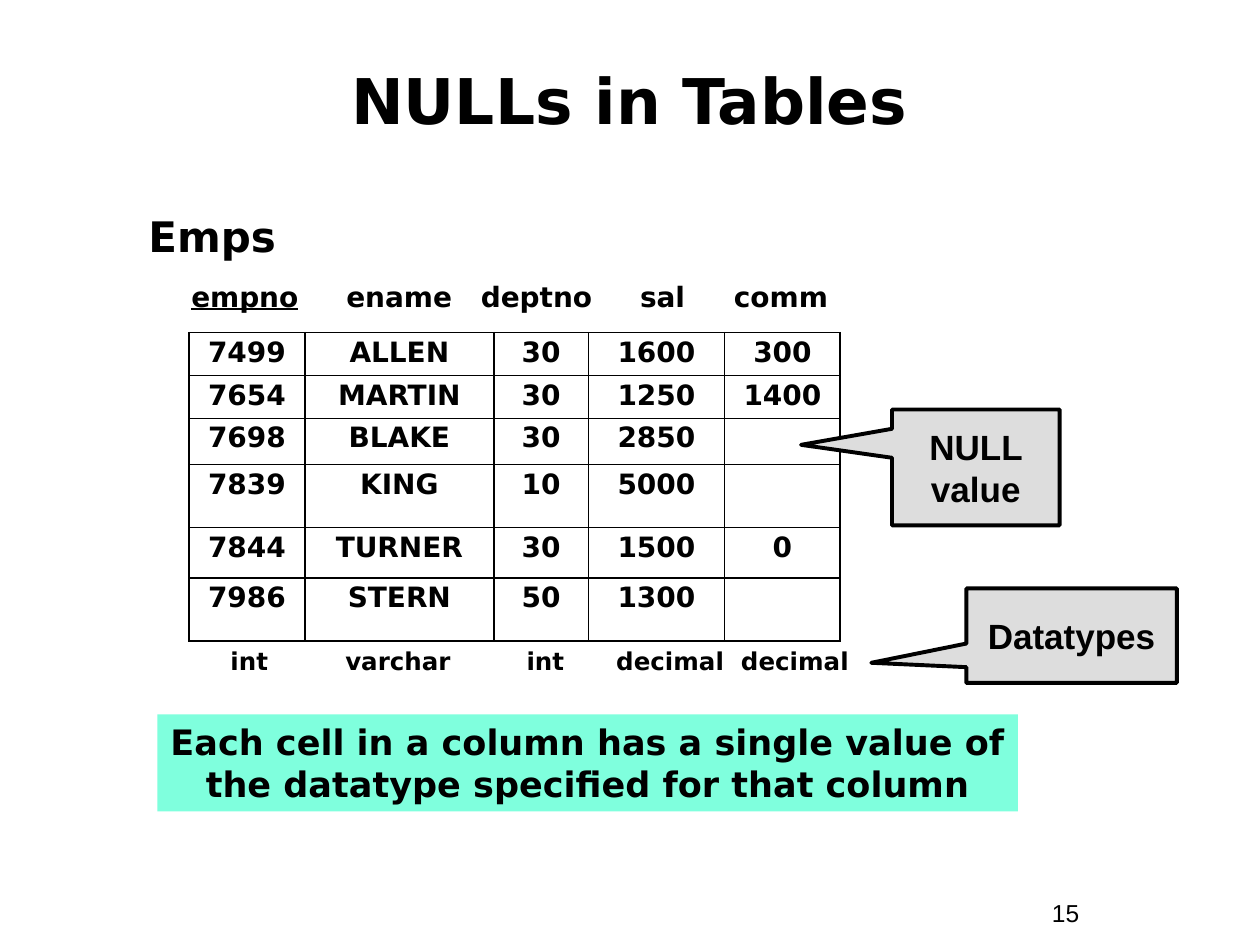
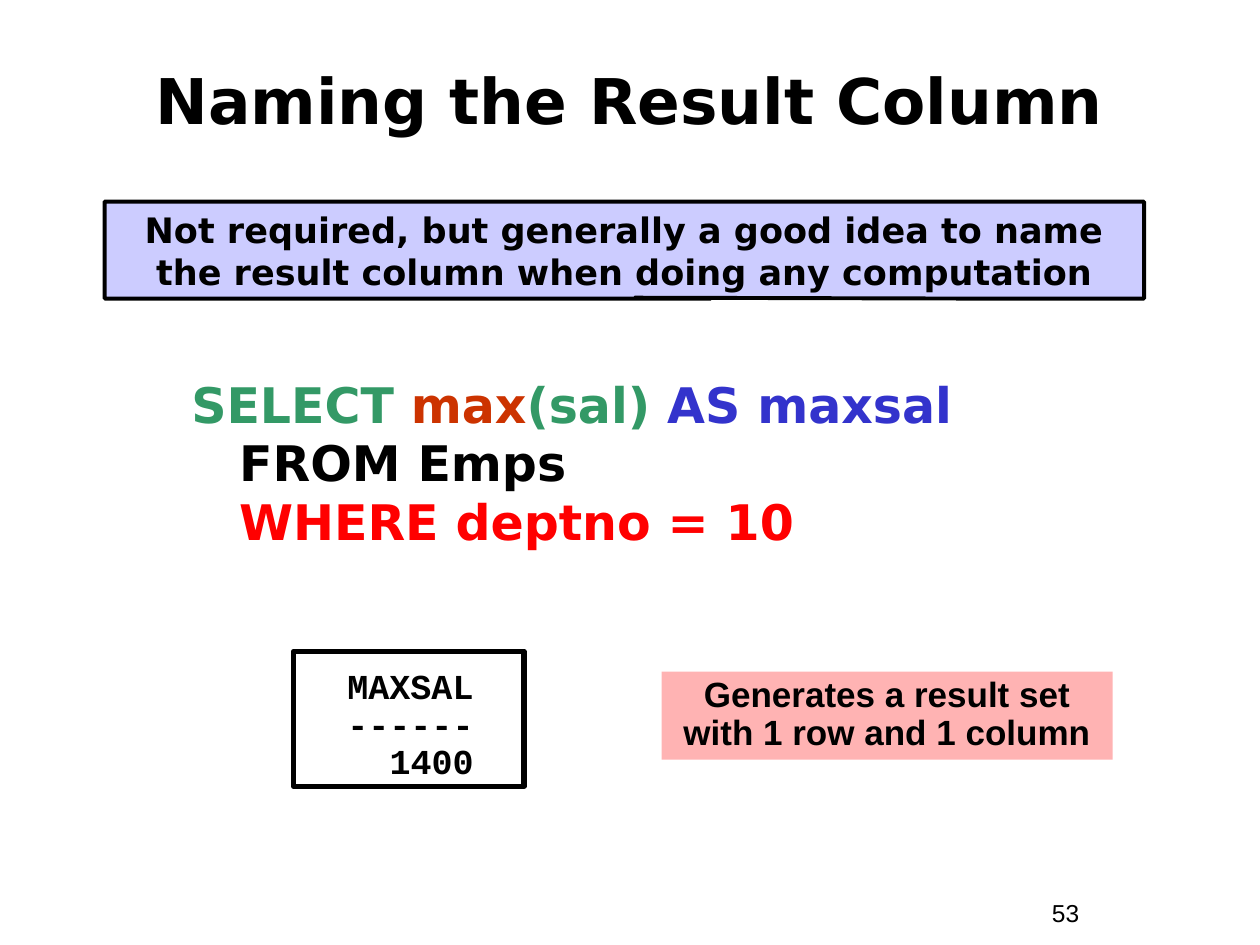
from lxml.etree import SubElement
from pptx import Presentation
from pptx.dml.color import RGBColor
from pptx.enum.shapes import MSO_SHAPE as Shape
from pptx.enum.text import MSO_ANCHOR as Anchor, PP_ALIGN as Align
from pptx.oxml.ns import qn
from pptx.util import Emu, Inches, Pt

HEADING, BODY, CODE = "DejaVu Sans", "Arial", "Courier New"
BLACK, GREY, AQUA, LILAC, PINK = "000000", "DDDDDD", "7FFFDD", "CCCCFF", "FFB3B3"
GREEN, RUST, BLUE, RED = "339966", "CC3300", "3333CC", "FF0000"

TITLE_AREA = (0.33, 0.33, 9.33, 0.92)
NUMBER_AREA = (8.25, 7.08, 0.92, 0.34)

COLUMNS = ["ename", "deptno", "sal", "comm"]
COLUMN_CENTRES = [3.17, 4.26, 5.26, 6.2]
DATATYPES = ["int", "varchar", "int", "decimal", "decimal"]
DATATYPE_CENTRES = [1.98, 3.16, 4.33, 5.32, 6.31]
EMPLOYEES = [
    ("7499", "ALLEN", "30", "1600", "300"),
    ("7654", "MARTIN", "30", "1250", "1400"),
    ("7698", "BLAKE", "30", "2850", ""),
    ("7839", "KING", "10", "5000", ""),
    ("7844", "TURNER", "30", "1500", "0"),
    ("7986", "STERN", "50", "1300", ""),
]
TABLE_LEFT, TABLE_TOP = 1.5, 2.64
COLUMN_WIDTHS = [0.92, 1.5, 0.75, 1.08, 0.92]
ROW_HEIGHTS = [0.34, 0.34, 0.35, 0.5, 0.4, 0.5]

CALLOUTS = [
    ("Datatypes", (7.67, 4.67, 1.67, 0.75), (-0.952, 0.287)),
    ("NULL value", (7.08, 3.25, 1.33, 0.92), (-1.043, -0.195)),
]
QUERY = [
    [("SELECT ", GREEN), ("max", RUST), ("(sal) ", GREEN), ("AS maxsal", BLUE)],
    [("FROM Emps", BLACK)],
    [("WHERE deptno = 10", RED)],
]
RESULT = ["MAXSAL", "------", "1400"]


def colour(value):
    return RGBColor.from_string(value)


def add_span(para, text, size, font=HEADING, shade=BLACK, bold=True, underline=None):
    span = para.add_run()
    span.text = text
    span.font.size, span.font.name = Pt(size), font
    span.font.bold, span.font.underline = bold, underline
    span.font.color.rgb = colour(shade)


def set_frame(box, anchor=Anchor.TOP):
    """Give the box wrapping text with the shared insets; return its first paragraph."""
    frame = box.text_frame
    frame.word_wrap, frame.vertical_anchor = True, anchor
    frame.margin_left = frame.margin_right = Inches(0.1)
    frame.margin_top = frame.margin_bottom = Inches(0.05)
    para = frame.paragraphs[0]
    para.alignment = Align.LEFT
    return para


def add_text(page, area, anchor=Anchor.TOP):
    return set_frame(page.shapes.add_textbox(*map(Inches, area)), anchor)


def add_panel(page, kind, area, fill=None, line=None, tail=(), anchor=Anchor.TOP):
    panel = page.shapes.add_shape(kind, *map(Inches, area))
    panel.shadow.inherit = False
    for index, value in enumerate(tail):
        panel.adjustments[index] = value
    if fill:
        panel.fill.solid()
        panel.fill.fore_color.rgb = colour(fill)
    else:
        panel.fill.background()
    if line:
        panel.line.color.rgb = colour(BLACK)
        panel.line.width = Pt(line)
    else:
        panel.line.fill.background()
    para = set_frame(panel, anchor)
    para.alignment = Align.CENTER
    return panel, para


def add_page(deck, title, number):
    page = deck.slides.add_slide(deck.slide_layouts[6])
    add_span(add_text(page, NUMBER_AREA), number, 14, BODY, bold=False)
    para = add_text(page, TITLE_AREA, Anchor.MIDDLE)
    para.alignment = Align.CENTER
    add_span(para, title, 36)
    return page


def add_centred_tabs(para, left, centres):
    """Place centred tab stops at slide positions, for a box starting at left."""
    tabs = SubElement(para._p.get_or_add_pPr(), qn("a:tabLst"))
    for centre in centres:
        SubElement(tabs, qn("a:tab"), pos=str(Inches(centre - left - 0.1)), algn="ctr")


def style_cell(cell, text):
    cell.margin_left = cell.margin_right = Inches(0.1)
    cell.margin_top = cell.margin_bottom = Inches(0.05)
    props = cell._tc.get_or_add_tcPr()
    for side in "LRTB":
        border = SubElement(props, qn(f"a:ln{side}"), w=str(Pt(1.08)))
        SubElement(SubElement(border, qn("a:solidFill")), qn("a:srgbClr"), val=BLACK)
    cell.fill.background()
    para = cell.text_frame.paragraphs[0]
    para.alignment, para.line_spacing = Align.CENTER, 0.9
    if text:
        add_span(para, text, 16)
    else:
        SubElement(para._p, qn("a:endParaRPr"), sz="1600")


def add_employees(page):
    area = (TABLE_LEFT, TABLE_TOP, sum(COLUMN_WIDTHS), sum(ROW_HEIGHTS))
    table = page.shapes.add_table(
        len(EMPLOYEES), len(COLUMN_WIDTHS), *map(Inches, area)).table
    table.first_row = table.horz_banding = False
    for column, width in zip(table.columns, COLUMN_WIDTHS):
        column.width = Inches(width)
    for row, height, values in zip(table.rows, ROW_HEIGHTS, EMPLOYEES):
        row.height = Inches(height)
        for cell, value in zip(row.cells, values):
            style_cell(cell, value)


def build_nulls(deck):
    page = add_page(deck, "NULLs in Tables", "15")
    add_span(add_text(page, (1.08, 1.62, 2.33, 0.5)), "Emps", 24)

    header = add_text(page, (1.42, 2.17, 5.33, 0.37))
    add_centred_tabs(header, 1.42, COLUMN_CENTRES)
    add_span(header, "empno", 16, underline=True)
    for name in COLUMNS:
        add_span(header, "\t" + name, 16)

    add_employees(page)

    types = add_text(page, (1.67, 5.08, 5.42, 0.34))
    add_centred_tabs(types, 1.67, DATATYPE_CENTRES)
    for name in DATATYPES:
        add_span(types, "\t" + name, 14)

    for text, area, tail in CALLOUTS:
        _, para = add_panel(page, Shape.RECTANGULAR_CALLOUT, area, GREY, 2.25,
                            tail, Anchor.MIDDLE)
        add_span(para, text, 20, BODY)

    _, para = add_panel(page, Shape.RECTANGLE, (1.25, 5.67, 6.83, 0.77), AQUA)
    add_span(para, "Each cell in a column has a single value of "
                   "the datatype specified for that column", 20)


def build_naming(deck):
    page = add_page(deck, "Naming the Result Column", "53")

    query = add_text(page, (1.42, 2.92, 6.58, 2.25))
    props = query._p.get_or_add_pPr()
    props.set("marL", str(Inches(0.38)))
    props.set("indent", str(-Inches(0.38)))
    for index, line in enumerate(QUERY):
        if index:
            query.add_line_break()
        for text, shade in line:
            add_span(query, text, 28, shade=shade)

    _, para = add_panel(page, Shape.RECTANGULAR_CALLOUT, (0.83, 1.6, 8.25, 0.77),
                        LILAC, 2.25, (0.01, 0.491), Anchor.MIDDLE)
    add_span(para, "Not required, but generally a good idea to name "
                   "the result column when doing any computation", 20)

    panel, para = add_panel(page, Shape.RECTANGLE, (2.33, 5.17, 1.83, 1.07), line=3)
    frame = panel.text_frame
    frame.margin_top, frame.margin_right = Inches(0.14), Inches(0.4)
    for index, line in enumerate(RESULT):
        para = frame.add_paragraph() if index else para
        para.alignment, para.line_spacing = Align.RIGHT, 0.9
        add_span(para, line, 20, CODE)

    _, para = add_panel(page, Shape.RECTANGLE, (5.25, 5.33, 3.58, 0.7), PINK)
    para.line_spacing = 0.9
    add_span(para, "Generates a result set with 1 row and 1 column", 20, BODY)


def main():
    deck = Presentation()
    deck.slide_width, deck.slide_height = Inches(10), Inches(7.5)
    build_nulls(deck)
    build_naming(deck)
    deck.save("out.pptx")


if __name__ == "__main__":
    main()
